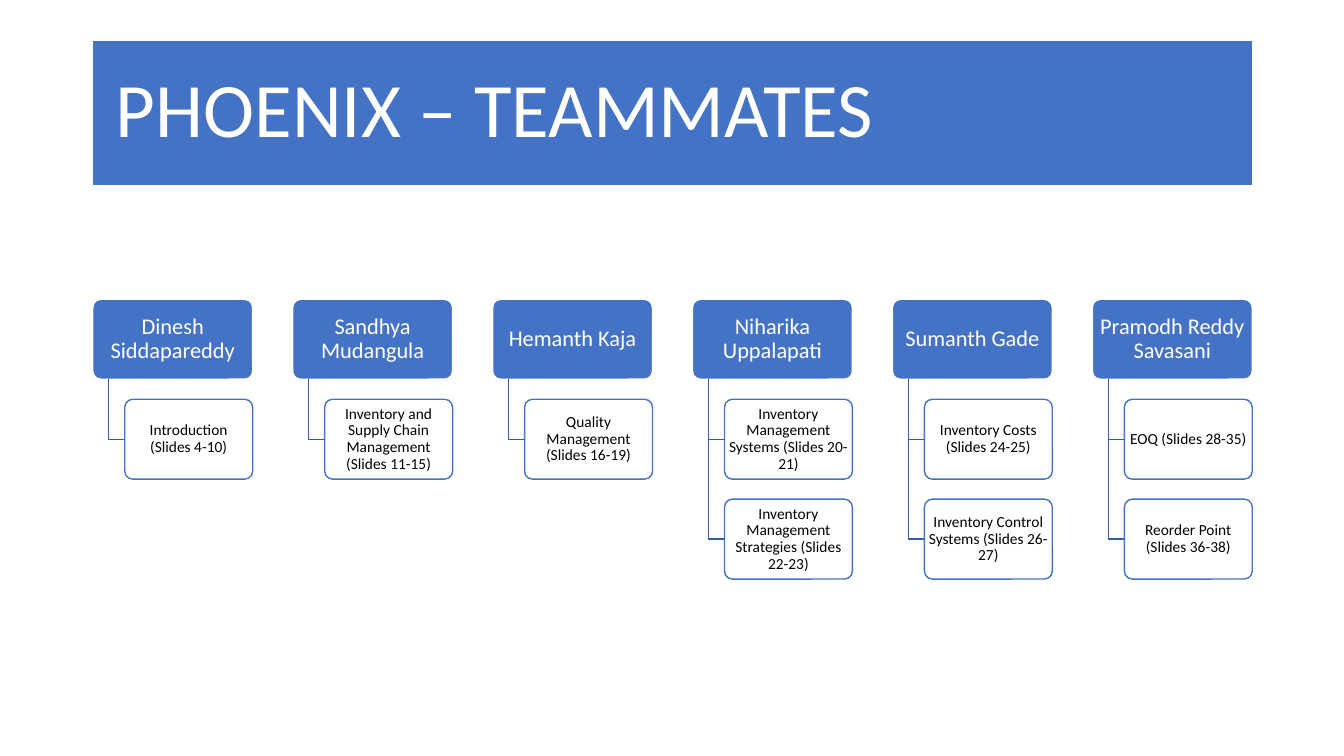
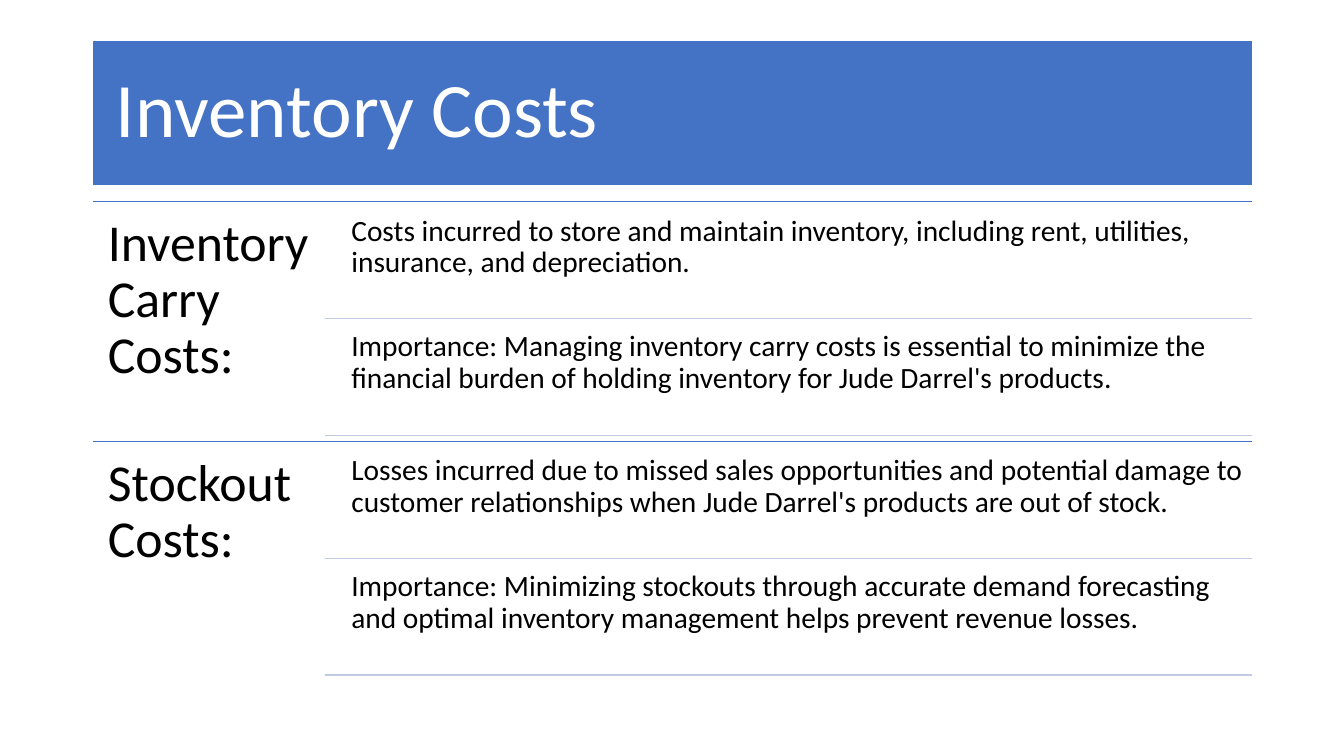
import dataclasses

import lxml.etree
import pptx
import pptx.dml.color
import pptx.enum.shapes
import pptx.enum.text
import pptx.oxml.ns
import pptx.util

ALIGN = pptx.enum.text.PP_ALIGN
ANCHOR = pptx.enum.text.MSO_ANCHOR
SHAPE = pptx.enum.shapes.MSO_SHAPE
LINE = pptx.enum.shapes.MSO_CONNECTOR


@dataclasses.dataclass(frozen=True)
class Theme:
    font: str = "Calibri"
    blue: str = "4472C4"
    dark: str = "365B9D"
    pale: str = "C1C9E4"
    white: str = "FFFFFF"
    black: str = "000000"
    head: int = 55
    label: int = 37
    text: int = 21
    name: int = 16
    task: int = 11


# Grid: 72.5 square units across, counted from the title's top left corner
LEFT, TOP, WIDE = 0.92, 0.4, 11.5
COLS = 72.5
UNIT = WIDE / COLS


def size(units):
    return pptx.util.Inches(units * UNIT)


def spot(col, row):
    return pptx.util.Inches(LEFT) + size(col), pptx.util.Inches(TOP) + size(row)


def tint(code):
    return pptx.dml.color.RGBColor.from_string(code)


def child(parent, tag, **attrs):
    return lxml.etree.SubElement(parent, pptx.oxml.ns.qn(tag), **attrs)


class Deck:
    def __init__(self, theme):
        self.theme = theme
        self.show = pptx.Presentation()
        self.show.slide_width = pptx.util.Inches(13.33)
        self.show.slide_height = pptx.util.Inches(7.5)
        self.slide = None

    def start(self, layout, title):
        """Add a slide with its title band."""
        self.slide = self.show.slides.add_slide(self.show.slide_layouts[layout])
        band = self.slide.shapes.title
        self.place(band, 0, 0, COLS, 9.1)
        geom = child(band.element.spPr, "a:prstGeom", prst="roundRect")
        child(geom, "a:avLst")
        self.paint(band, self.theme.blue, self.theme.white)
        self.letter(band, [title], self.theme.head, self.theme.white,
                    inset=0.23, anchor=ANCHOR.MIDDLE)

    def place(self, shape, col, row, wide, high):
        shape.left, shape.top = spot(col, row)
        shape.width, shape.height = size(wide), size(high)

    def paint(self, shape, fill, line):
        if fill:
            shape.fill.solid()
            shape.fill.fore_color.rgb = tint(fill)
        else:
            shape.fill.background()
        shape.line.color.rgb = tint(line)
        shape.line.width = pptx.util.Pt(1)

    def letter(self, shape, lines, points, ink, inset,
               anchor=ANCHOR.TOP, align=ALIGN.LEFT, gap=0):
        """Set one paragraph for each line of text."""
        frame = shape.text_frame
        frame.word_wrap = True
        frame.auto_size = pptx.enum.text.MSO_AUTO_SIZE.NONE
        frame.vertical_anchor = anchor
        frame.margin_left = frame.margin_right = pptx.util.Inches(inset)
        frame.margin_top = frame.margin_bottom = pptx.util.Inches(inset)
        for i, line in enumerate(lines):
            para = frame.add_paragraph() if i else frame.paragraphs[0]
            para.alignment = align
            para.line_spacing = 0.9
            para.space_before = pptx.util.Pt(gap if i else 0)
            props = para._p.get_or_add_pPr()
            props.set("marL", "0")
            props.set("indent", "0")
            child(props, "a:buNone")
            run = para.add_run()
            run.text = line
            font = run.font
            font.name, font.size = self.theme.font, pptx.util.Pt(points)
            font.bold = False
            font.color.rgb = tint(ink)

    def box(self, col, row, wide, high, text, points, fill, line, ink):
        """Add a rounded box with centred text."""
        shape = self.slide.shapes.add_shape(
            SHAPE.ROUNDED_RECTANGLE, *spot(col, row), size(wide), size(high))
        shape.adjustments[0] = 0.1
        shape.shadow.inherit = False
        self.paint(shape, fill, line)
        self.letter(shape, [text], points, ink, inset=0.02,
                    anchor=ANCHOR.MIDDLE, align=ALIGN.CENTER)

    def elbow(self, col, row, wide, high):
        """Add a branch that runs down, then right."""
        trace = self.slide.shapes.build_freeform(*spot(col, row))
        trace.add_line_segments(
            [spot(col, row + high), spot(col + wide, row + high)], close=False)
        shape = trace.convert_to_shape()
        shape.shadow.inherit = False
        self.paint(shape, None, self.theme.dark)

    def rule(self, col, row, shade):
        """Add a level line that ends at the right edge."""
        line = self.slide.shapes.add_connector(
            LINE.STRAIGHT, *spot(col, row), *spot(COLS, row))
        line.line.color.rgb = tint(shade)
        line.line.width = pptx.util.Pt(1)
        child(line.element.spPr, "a:effectLst")

    def body(self, index, col, row, wide, high, lines, points, inset, gap=0):
        """Fill a body placeholder."""
        shape = self.slide.placeholders[index]
        self.place(shape, col, row, wide, high)
        self.letter(shape, lines, points, self.theme.black, inset, gap=gap)


TEAM = [
    ("Dinesh Siddapareddy", ["Introduction (Slides 4-10)"]),
    ("Sandhya Mudangula",
     ["Inventory and Supply Chain Management (Slides 11-15)"]),
    ("Hemanth Kaja", ["Quality Management (Slides 16-19)"]),
    ("Niharika Uppalapati", ["Inventory Management Systems (Slides 20-21)",
                             "Inventory Management Strategies (Slides 22-23)"]),
    ("Sumanth Gade", ["Inventory Costs (Slides 24-25)",
                      "Inventory Control Systems (Slides 26-27)"]),
    ("Pramodh Reddy Savasani", ["EOQ (Slides 28-35)",
                                "Reorder Point (Slides 36-38)"]),
]

COSTS = [
    ("Inventory Carry Costs:", [
        "Costs incurred to store and maintain inventory, including rent, "
        "utilities, insurance, and depreciation.",
        "Importance: Managing inventory carry costs is essential to minimize "
        "the financial burden of holding inventory for Jude Darrel's products.",
    ]),
    ("Stockout Costs:", [
        "Losses incurred due to missed sales opportunities and potential "
        "damage to customer relationships when Jude Darrel's products are "
        "out of stock.",
        "Importance: Minimizing stockouts through accurate demand forecasting "
        "and optimal inventory management helps prevent revenue losses.",
    ]),
]


def draw_team(deck):
    theme = deck.theme
    deck.start(5, "PHOENIX – TEAMMATES")
    wide, high, row = 10, 5, 16.2
    for i, (name, tasks) in enumerate(TEAM):
        col = i * wide * 1.25
        deck.box(col, row, wide, high, name, theme.name,
                 theme.blue, theme.white, theme.white)
        # Tasks hang below the name, one step apart
        for j, task in enumerate(tasks, 1):
            drop = j * high * 1.25
            deck.elbow(col + 1, row + high, 1, drop - high / 2)
            deck.box(col + 2, row + drop, wide - 2, high, task, theme.task,
                     theme.white, theme.blue, theme.black)


def draw_costs(deck):
    theme = deck.theme
    deck.start(4, "Inventory Costs")
    high, split, step = 15, 14.5, 7.3
    for i, (label, notes) in enumerate(COSTS):
        row = 10.1 + i * high
        deck.rule(0, row, theme.blue)
        deck.body(1 + 2 * i, 0, row, split, high, [label],
                  theme.label, inset=0.15)
        # Notes share a list, with a pale rule under each
        deck.body(2 + 2 * i, split + 1.1, row + 0.3, COLS - split - 1.1,
                  high - 0.4, notes, theme.text, inset=0.09, gap=37.3)
        for j in range(1, len(notes) + 1):
            deck.rule(split, row + j * step, theme.pale)


def main():
    deck = Deck(Theme())
    draw_team(deck)
    draw_costs(deck)
    deck.show.save("out.pptx")


if __name__ == "__main__":
    main()
